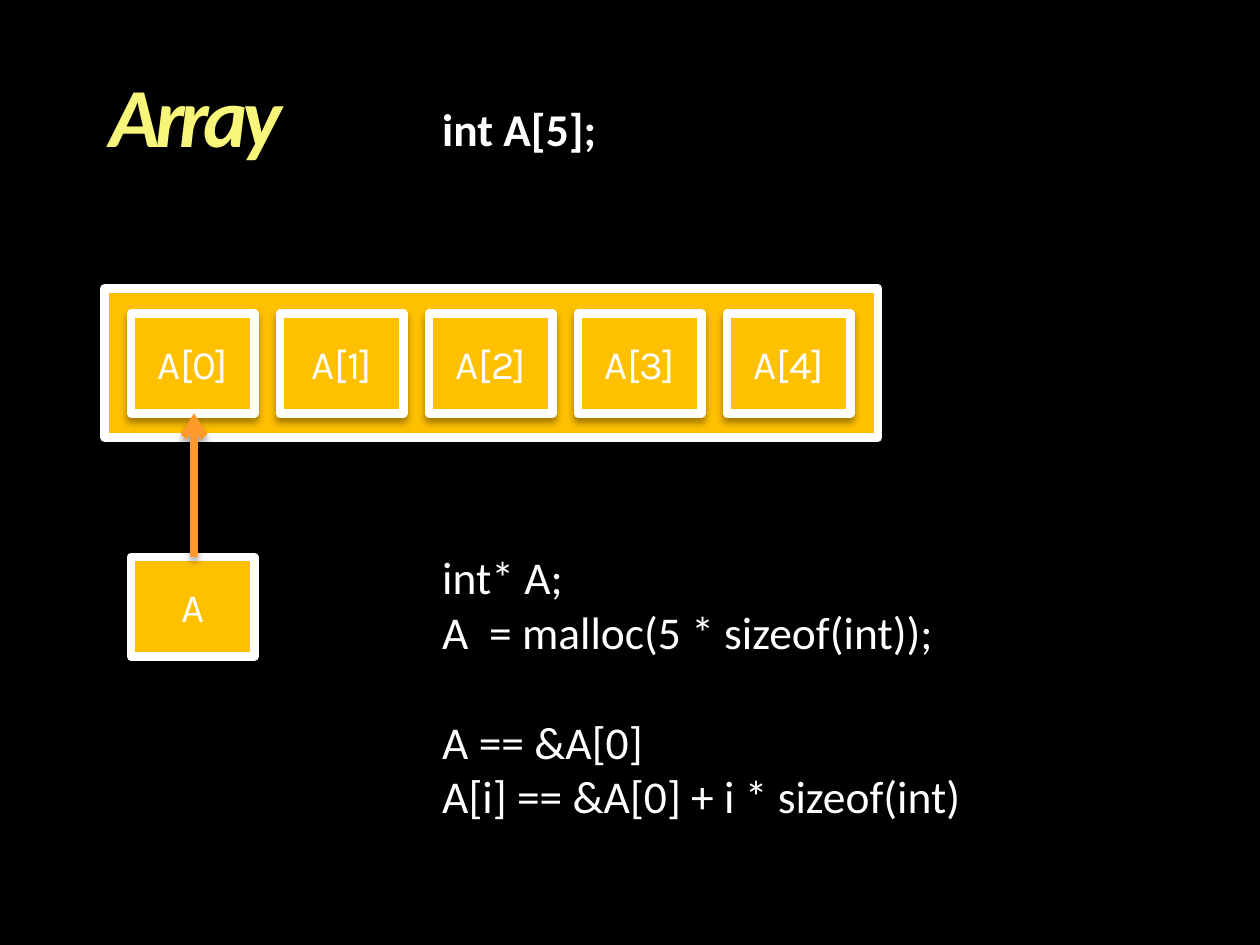
from lxml import etree
from pptx import Presentation
from pptx import util as u
from pptx.dml.color import RGBColor
from pptx.enum import shapes, text
from pptx.oxml import ns, parse_xml

BLACK = RGBColor(0x00, 0x00, 0x00)
WHITE = RGBColor(0xFF, 0xFF, 0xFF)
AMBER = RGBColor(0xFF, 0xC0, 0x00)
ORANGE = RGBColor(0xFF, 0x99, 0x29)
YELLOW = RGBColor(0xF8, 0xF5, 0x7B)

SHADOW = (
    f'<a:effectLst {ns.nsdecls("a")}>'
    '<a:outerShdw blurRad="50800" dist="38100" dir="5400000" rotWithShape="0">'
    '<a:srgbClr val="000000"><a:alpha val="35000"/></a:srgbClr>'
    '</a:outerShdw></a:effectLst>'
)


def write_text(shape, lines, inset, alignment, font):
    frame = shape.text_frame
    frame.word_wrap = True
    frame.vertical_anchor = text.MSO_ANCHOR.MIDDLE
    frame.margin_left = frame.margin_right = u.Inches(inset[0])
    frame.margin_top = frame.margin_bottom = u.Inches(inset[1])
    frame.text = "\n".join(lines)
    for paragraph in frame.paragraphs:
        paragraph.alignment = alignment
        for run in paragraph.runs:
            run.font.color.rgb = font["color"]
            for name, value in font["format"].items():
                setattr(run.font, name, value)
    return frame.paragraphs


def add_box(parent, left, top, width, height, label=None):
    box = parent.add_shape(
        shapes.MSO_SHAPE.RECTANGLE, *map(u.Inches, (left, top, width, height)))
    box.fill.solid()
    box.fill.fore_color.rgb = AMBER
    box.line.color.rgb = WHITE
    box.line.width = u.Pt(5)
    box._element.spPr.append(parse_xml(SHADOW))
    if label:
        write_text(box, [label], (0.1, 0.05), text.PP_ALIGN.CENTER, CELL_FONT)


TITLE_FONT = {"color": YELLOW, "format": {
    "name": "Calibri", "size": u.Pt(48), "bold": True, "italic": True}}
CELL_FONT = {"color": WHITE, "format": {"name": "Karla", "size": u.Pt(23)}}

presentation = Presentation()
presentation.slide_width = u.Inches(10)
presentation.slide_height = u.Inches(7.5)
slide = presentation.slides.add_slide(presentation.slide_layouts[5])
slide.background.fill.solid()
slide.background.fill.fore_color.rgb = BLACK

title = slide.shapes.title
title.left, title.top, title.width, title.height = map(
    u.Inches, (0.87, 0.6, 8.27, 0.71))
title_paragraph = write_text(
    title, ["Array"], (0, 0), text.PP_ALIGN.LEFT, TITLE_FONT)[0]
title_paragraph.line_spacing = 0.9
title_paragraph.runs[0].font._element.set("spc", "-300")

code_blocks = [
    (0.72, 0.6, True, ["int A[5];"]),
    (4.27, 2.35, False, [
        "int* A;",
        "A  = malloc(5 * sizeof(int));",
        "A == &A[0]",
        "A[i] == &A[0] + i * sizeof(int)",
    ]),
]
for top, height, bold, lines in code_blocks:
    code = slide.shapes.add_textbox(
        *map(u.Inches, (3.43, top, 5.71, height)))
    font = {"color": WHITE, "format": {
        "name": "Calibri", "size": u.Pt(26), "bold": bold}}
    paragraphs = write_text(code, lines, (0.08, 0.08), text.PP_ALIGN.LEFT, font)
    if len(paragraphs) > 2:
        paragraphs[2].space_before = u.Pt(31.7)

CELL_LEFT, CELL_TOP, CELL_WIDTH, CELL_HEIGHT = 1.04, 2.49, 0.98, 0.79
CELL_STEP = 1.1825
POINTER_TOP = 4.42

add_box(slide.shapes, 0.83, 2.29, 6.14, 1.18)
add_box(slide.shapes, CELL_LEFT, POINTER_TOP, CELL_WIDTH, CELL_HEIGHT, "A")
cells = slide.shapes.add_group_shape()
for index in range(5):
    add_box(cells.shapes, CELL_LEFT + index * CELL_STEP, CELL_TOP,
            CELL_WIDTH, CELL_HEIGHT, f"A[{index}]")

arrow_x = 1.54
arrow = slide.shapes.add_connector(
    shapes.MSO_CONNECTOR.STRAIGHT,
    *map(u.Inches, (arrow_x, POINTER_TOP, arrow_x, CELL_TOP + CELL_HEIGHT)))
arrow.line.color.rgb = ORANGE
arrow.line.width = u.Pt(4.33)
etree.SubElement(arrow.line._get_or_add_ln(), ns.qn("a:tailEnd"), type="arrow")
arrow._element.spPr.append(parse_xml(SHADOW))

presentation.save("out.pptx")
